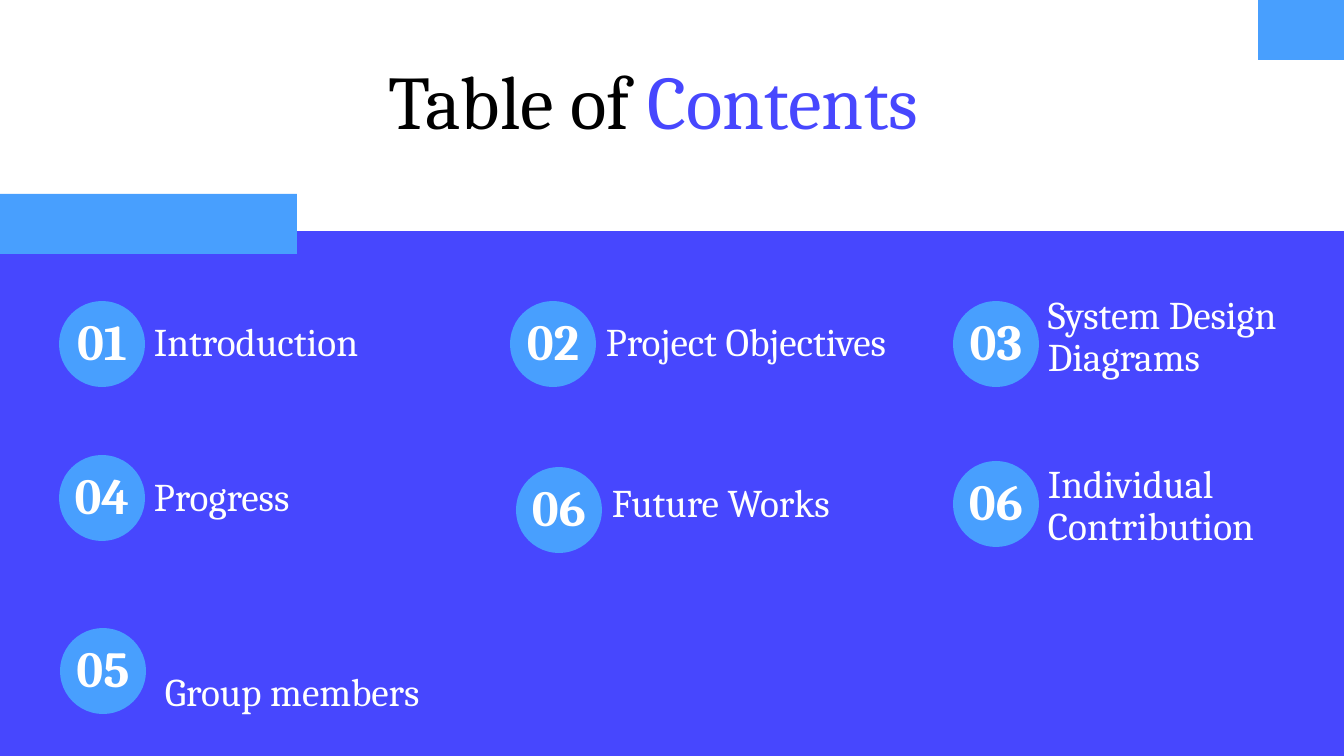
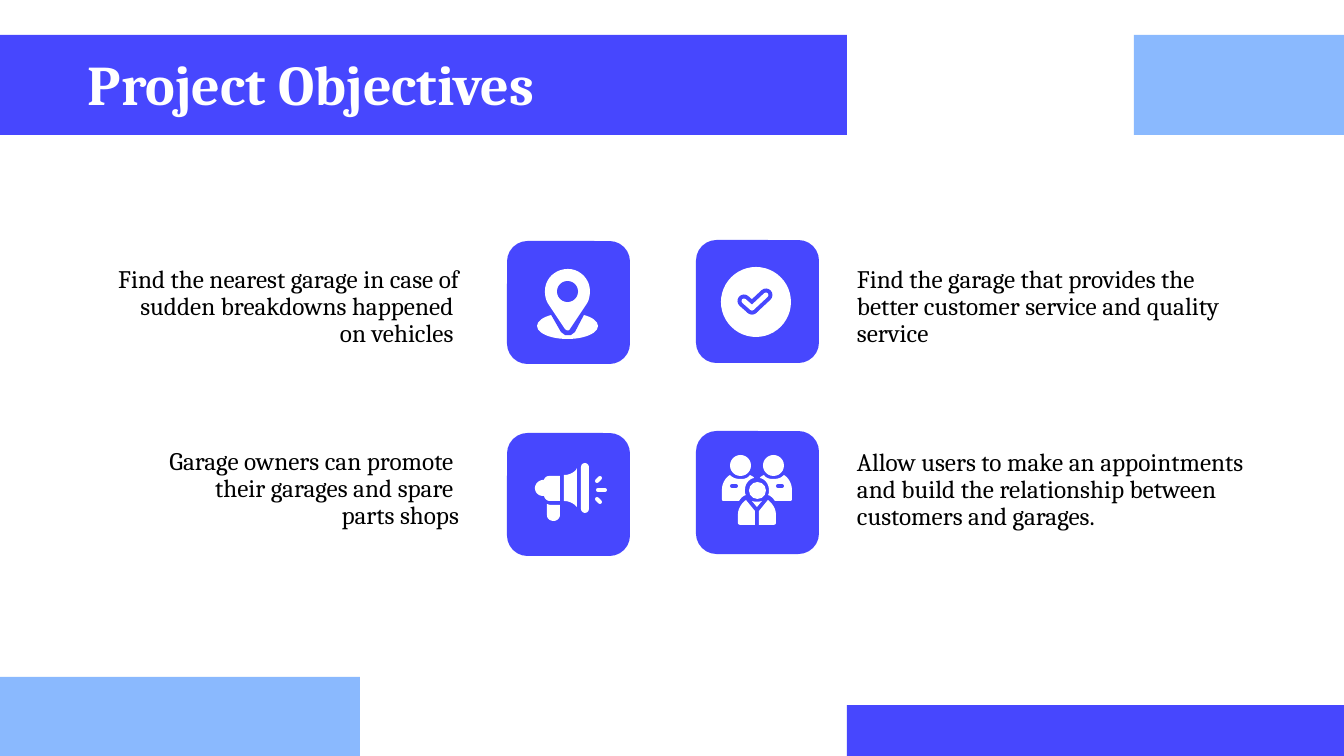
from itertools import pairwise

from lxml.etree import SubElement
from pptx import Presentation
from pptx.dml.color import RGBColor
from pptx.enum.shapes import MSO_CONNECTOR, MSO_SHAPE
from pptx.enum.text import MSO_ANCHOR, PP_ALIGN
from pptx.oxml.ns import qn
from pptx.util import Emu, Pt

WIDE, HIGH = 1344, 756
SCALE = 12192000 / WIDE
FONT = "Cambria"
COLOURS = {"blue": "4747FE", "sky": "489FFE", "pale": "8AB9FE",
           "white": "FFFFFF", "black": "000000"}

# Bands: left, top, width, height, colour
AGENDA_BANDS = [
    (0, 231, WIDE, 525, "blue"),
    (0, 194, 297, 60, "sky"),
    (1258, 0, 86, 60, "sky"),
]
GOAL_BANDS = [
    (0, 677, 360, 79, "pale"),
    (1134, 35, 210, 100, "pale"),
    (0, 35, 847, 100, "blue"),
    (847, 705, 497, 51, "blue"),
]

# Agenda: number, label, disc left and top, label box left, top, width, height
DISC = 86
AGENDA = [
    ("01", "Introduction", (59, 301), (144, 310, 284, 65)),
    ("02", "Project Objectives", (510, 301), (596, 310, 336, 65)),
    ("03", "System Design Diagrams", (953, 301), (1038, 292, 284, 98)),
    ("04", "Progress", (59, 455), (144, 465, 357, 65)),
    ("05", "Group members", (60, 628), (155, 630, 284, 95)),
    ("06", "Future Works", (516, 467), (602, 471, 306, 65)),
    ("06", "Individual Contribution", (953, 461), (1038, 461, 284, 98)),
]

# Icon parts are in px from the corner of their tile. An outline is a list of
# points; six numbers are a curve: two control points, then the end.
PIN = [
    ("oval", (30, 72, 61, 26), "white"),
    ("outline", [(42, 70), (54, 91), (58, 94), (64, 94), (68, 91), (79, 70)], "blue"),
    ("outline", [(38, 50), (38, 38, 48, 28, 61, 28), (73, 28, 83, 38, 83, 50),
                 (83, 55, 82, 60, 79, 64), (63, 88), (62, 90, 60, 90, 58, 88),
                 (42, 64), (39, 60, 38, 55, 38, 50)], "white"),
    ("oval", (50, 40, 21, 21), "blue"),
]
TICK = [(48, 61), (56, 68), (70, 55)]
CHECK = [
    ("oval", (25, 27, 70, 70), "white"),
    ("stroke", TICK, "blue", 13),
    ("stroke", TICK, "white", 5),
]
HORN = [
    ("outline", [(53, 43), (43, 43), (40, 43, 38, 44, 37, 47), (36, 47),
                 (32, 47, 28, 51, 28, 55), (28, 60, 32, 63, 36, 63), (37, 63),
                 (38, 66, 40, 68, 43, 68), (53, 68)], "white"),
    ("outline", [(40, 71), (40, 82), (40, 86, 43, 88, 47, 88),
                 (50, 88, 53, 85, 53, 82), (53, 72), (43, 72)], "white"),
    ("outline", [(70, 35), (69, 37), (66, 40, 62, 42, 57, 42), (57, 68),
                 (62, 68, 66, 70, 69, 73), (70, 74)], "white"),
    ("pill", (74, 30, 8, 50), "white"),
    ("stroke", [(93, 45), (90, 48)], "white", 4),
    ("stroke", [(91, 57), (98, 57)], "white", 4),
    ("stroke", [(90, 66), (93, 69)], "white", 4),
]
TEAM_AXIS = 61
BACK = [(34, 44), (29, 47, 26, 53, 26, 59), (26, 67), (26, 69, 26, 70, 28, 70),
        (43, 70), (45, 67, 47, 65, 50, 64), (49, 63, 49, 61, 49, 59),
        (49, 53, 53, 48, 58, 47), (58, 46, 56, 45, 54, 44),
        (52, 47, 49, 48, 45, 48), (40, 48, 37, 47, 34, 44)]
FRONT = [(50, 69), (45, 73, 42, 78, 42, 84), (42, 92), (42, 93, 43, 94, 45, 94),
         (59, 94), (59, 80)]
SLOT = [(36, 55), (40, 55)]


def mirror(points):
    """Reflect an outline left to right about the middle of the team icon."""
    return [tuple(v if i % 2 else 2 * TEAM_AXIS - v for i, v in enumerate(point))
            for point in points]


TEAM = [
    ("oval", (34, 24, 21, 21), "white"),
    ("oval", (67, 24, 21, 21), "white"),
    ("oval", (53, 51, 17, 17), "white"),
    ("outline", [(56, 70), (59, 71, 63, 71, 66, 70), (61, 76)], "white"),
]
for half in (lambda points: points, mirror):
    TEAM += [("outline", half(BACK), "white"),
             ("outline", half(FRONT), "white"),
             ("stroke", half(SLOT), "blue", 4)]

# Goals: paragraphs, alignment, text box, tile corner, icon
TILE = 123
GOALS = [
    (["Find the nearest garage in case of sudden breakdowns happened ",
      "on vehicles "], PP_ALIGN.RIGHT, (65, 271, 404, 87), (507, 241), PIN),
    (["Find the garage that provides the better customer service and quality service"],
     PP_ALIGN.LEFT, (847, 271, 404, 87), (696, 240), CHECK),
    (["Garage owners can promote ", "their garages and spare ", "parts shops"],
     PP_ALIGN.RIGHT, (65, 453, 404, 87), (507, 433), HORN),
    (["Allow users to make an appointments and build the relationship between "
      "customers and garages."],
     PP_ALIGN.LEFT, (847, 443, 451, 98), (696, 431), TEAM),
]


def px(value):
    return Emu(round(value * SCALE))


def rgb(name):
    return RGBColor.from_string(COLOURS[name])


def paint(shape, colour):
    shape.shadow.inherit = False
    shape.fill.solid()
    shape.fill.fore_color.rgb = rgb(colour)
    shape.line.fill.background()
    return shape


def block(slide, kind, box, colour):
    return paint(slide.shapes.add_shape(kind, *map(px, box)), colour)


def write(shape, paras, size, bold=False, align=PP_ALIGN.LEFT, inset=(10, 10, 10, 10)):
    """Fill a shape with paragraphs, each a list of (text, colour) runs."""
    frame = shape.text_frame
    frame.word_wrap = True
    frame.vertical_anchor = MSO_ANCHOR.BOTTOM
    (frame.margin_left, frame.margin_top,
     frame.margin_right, frame.margin_bottom) = map(px, inset)
    for i, runs in enumerate(paras):
        para = frame.add_paragraph() if i else frame.paragraphs[0]
        para.alignment = align
        para.line_spacing = 0.9
        for text, colour in runs:
            run = para.add_run()
            run.text = text
            run.font.name = FONT
            run.font.size = Pt(size)
            run.font.bold = bold
            run.font.color.rgb = rgb(colour)


def label(slide, box, *args, **style):
    write(slide.shapes.add_textbox(*map(px, box)), *args, **style)


def flatten(points, steps=10):
    """Turn curves into short straight pieces."""
    flat = [points[0]]
    for point in points[1:]:
        if len(point) == 2:
            flat.append(point)
            continue
        nodes = [flat[-1], point[:2], point[2:4], point[4:]]
        for step in range(1, steps + 1):
            t = step / steps
            parts = ((1 - t) ** 3, 3 * t * (1 - t) ** 2, 3 * t * t * (1 - t), t ** 3)
            flat.append(tuple(sum(k * node[axis] for k, node in zip(parts, nodes))
                              for axis in (0, 1)))
    return flat


def outline(slide, points, colour):
    spots = [(px(x), px(y)) for x, y in points]
    pen = slide.shapes.build_freeform(*spots[0])
    pen.add_line_segments(spots[1:], close=True)
    paint(pen.convert_to_shape(), colour)


def stroke(slide, points, colour, width):
    """Draw round-ended lines from point to point."""
    for start, end in pairwise(points):
        line = slide.shapes.add_connector(
            MSO_CONNECTOR.STRAIGHT, *map(px, (*start, *end)))
        line.line.color.rgb = rgb(colour)
        line.line.width = px(width)
        props = line._element.spPr
        props.find(qn("a:ln")).set("cap", "rnd")
        SubElement(props, qn("a:effectLst"))


def icon(slide, parts, left, top):
    for kind, data, colour, *width in parts:
        if kind == "outline":
            outline(slide, [(left + x, top + y) for x, y in flatten(data)], colour)
        elif kind == "stroke":
            stroke(slide, [(left + x, top + y) for x, y in data], colour, *width)
        else:
            x, y, *size = data
            form = MSO_SHAPE.OVAL if kind == "oval" else MSO_SHAPE.ROUNDED_RECTANGLE
            shape = block(slide, form, (left + x, top + y, *size), colour)
            if kind == "pill":
                shape.adjustments[0] = 0.5


def start(deck, bands):
    slide = deck.slides.add_slide(deck.slide_layouts[6])
    for *box, colour in bands:
        block(slide, MSO_SHAPE.RECTANGLE, box, colour)
    return slide


def agenda(deck):
    slide = start(deck, AGENDA_BANDS)
    label(slide, (379, 49, 586, 107),
          [[("Table of ", "black"), ("Contents", "blue")]], 54)
    for number, text, spot, box in AGENDA:
        disc = block(slide, MSO_SHAPE.OVAL, (*spot, DISC, DISC), "sky")
        write(disc, [[(number, "white")]], 36, bold=True,
              align=PP_ALIGN.CENTER, inset=(0, 0, 0, 3))
        label(slide, box, [[(text, "white")]], 28)


def goals(deck):
    slide = start(deck, GOAL_BANDS)
    label(slide, (78, 53, 529, 75), [[("Project Objectives", "white")]], 40, bold=True)
    for texts, align, box, spot, parts in GOALS:
        label(slide, box, [[(text, "black")] for text in texts], 18, align=align)
        block(slide, MSO_SHAPE.ROUNDED_RECTANGLE, (*spot, TILE, TILE), "blue")
        icon(slide, parts, *spot)


def main():
    deck = Presentation()
    deck.slide_width, deck.slide_height = px(WIDE), px(HIGH)
    agenda(deck)
    goals(deck)
    deck.save("out.pptx")


if __name__ == "__main__":
    main()
